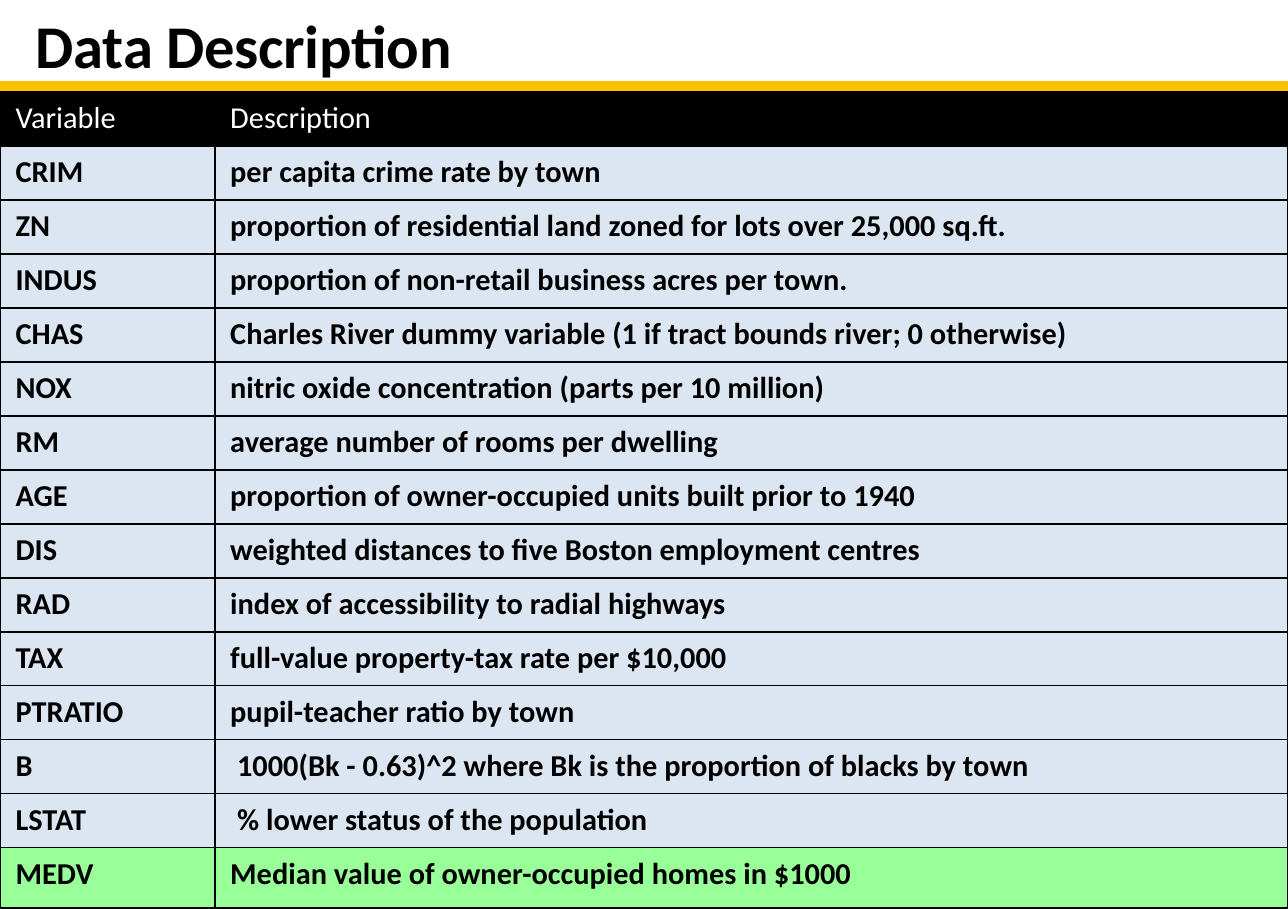
from lxml import etree
from pptx import Presentation
from pptx.dml.color import RGBColor
from pptx.enum.shapes import MSO_SHAPE
from pptx.enum.text import MSO_ANCHOR, MSO_AUTO_SIZE, PP_ALIGN
from pptx.oxml.ns import qn
from pptx.util import Inches, Pt

RECTANGLE = MSO_SHAPE.RECTANGLE
TOP = MSO_ANCHOR.TOP
LEFT = PP_ALIGN.LEFT
NO_AUTOFIT = MSO_AUTO_SIZE.NONE
TITLE_ONLY = 5

WIDTH, HEIGHT = Inches(8.26), Inches(5.83)
BAND_TOP, TABLE_TOP = Inches(0.52), Inches(0.59)
VARIABLE_WIDTH = WIDTH // 6
TARGET_HEIGHT = Inches(0.39)

COLOURS = {
    "text": "000000",
    "header text": "FFFFFF",
    "header": "000000",
    "feature": "DCE6F2",
    "target": "99FF99",
    "band": "FFC000",
    "border": "000000",
}
TITLE_FORMAT = {"name": "Calibri", "size": Pt(28), "bold": True}
HEADER_FORMAT = {"name": "Calibri", "size": Pt(14), "bold": False}
BODY_FORMAT = {"name": "Calibri", "size": Pt(14), "bold": True}

HEADER = ("Variable", "Description")
FEATURES = [
    ("CRIM", "per capita crime rate by town"),
    ("ZN", "proportion of residential land zoned for lots over 25,000 sq.ft."),
    ("INDUS", "proportion of non-retail business acres per town."),
    ("CHAS", "Charles River dummy variable (1 if tract bounds river; 0 otherwise)"),
    ("NOX", "nitric oxide concentration (parts per 10 million)"),
    ("RM", "average number of rooms per dwelling"),
    ("AGE", "proportion of owner-occupied units built prior to 1940"),
    ("DIS", "weighted distances to five Boston employment centres"),
    ("RAD", "index of accessibility to radial highways"),
    ("TAX", "full-value property-tax rate per $10,000"),
    ("PTRATIO", "pupil-teacher ratio by town"),
    ("B", " 1000(Bk - 0.63)^2 where Bk is the proportion of blacks by town"),
    ("LSTAT", " % lower status of the population"),
]
TARGET = ("MEDV", "Median value of owner-occupied homes in $1000")


def set_fill(item, colour):
    item.fill.solid()
    item.fill.fore_color.rgb = RGBColor.from_string(COLOURS[colour])


def write_run(paragraph, text, font_format, colour):
    run = paragraph.add_run()
    run.text = text
    for attribute, value in font_format.items():
        setattr(run.font, attribute, value)
    run.font.color.rgb = RGBColor.from_string(COLOURS[colour])
    return run


def add_title(slide, text):
    title = slide.shapes.title
    title.left, title.top = Inches(0.13), 0
    title.width, title.height = Inches(4.42), Inches(0.57)
    frame = title.text_frame
    for attribute, value in {"auto_size": NO_AUTOFIT, "vertical_anchor": TOP,
                             "word_wrap": False}.items():
        setattr(frame, attribute, value)
    paragraph = frame.paragraphs[0]
    paragraph.alignment = LEFT
    run = write_run(paragraph, text, TITLE_FORMAT, "text")
    run.font._element.set("spc", "-10")


def add_band(slide):
    band = slide.shapes.add_shape(
        RECTANGLE, 0, BAND_TOP, WIDTH, TABLE_TOP - BAND_TOP)
    set_fill(band, "band")
    band.line.fill.background()
    band.shadow.inherit = False


def set_borders(cell):
    """Draw all four sides; lines must precede the fill in the cell's XML."""
    properties = cell._tc.get_or_add_tcPr()
    for position, side in enumerate(("a:lnL", "a:lnR", "a:lnT", "a:lnB")):
        line = etree.Element(qn(side), w=str(Pt(1)))
        solid = etree.SubElement(line, qn("a:solidFill"))
        etree.SubElement(solid, qn("a:srgbClr"), val=COLOURS["border"])
        properties.insert(position, line)


def fill_row(row, texts, fill, font_format, text_colour):
    for cell, text in zip(row.cells, texts):
        set_fill(cell, fill)
        set_borders(cell)
        cell.vertical_anchor = TOP
        write_run(cell.text_frame.paragraphs[0], text, font_format, text_colour)


def add_variable_table(slide):
    rows = [(HEADER, "header", HEADER_FORMAT, "header text")]
    rows += [(feature, "feature", BODY_FORMAT, "text") for feature in FEATURES]
    rows.append((TARGET, "target", BODY_FORMAT, "text"))

    table_height = HEIGHT - TABLE_TOP
    table = slide.shapes.add_table(
        len(rows), len(HEADER), 0, TABLE_TOP, WIDTH, table_height).table
    table.horz_banding = False
    table.columns[0].width = VARIABLE_WIDTH
    table.columns[1].width = WIDTH - VARIABLE_WIDTH
    row_height = (table_height - TARGET_HEIGHT) // (len(rows) - 1)
    for row, content in zip(table.rows, rows):
        row.height = row_height
        fill_row(row, *content)
    table.rows[len(rows) - 1].height = TARGET_HEIGHT


def main():
    presentation = Presentation()
    presentation.slide_width, presentation.slide_height = WIDTH, HEIGHT
    slide = presentation.slides.add_slide(presentation.slide_layouts[TITLE_ONLY])
    add_title(slide, "Data Description")
    add_band(slide)
    add_variable_table(slide)
    presentation.save("out.pptx")


if __name__ == "__main__":
    main()
